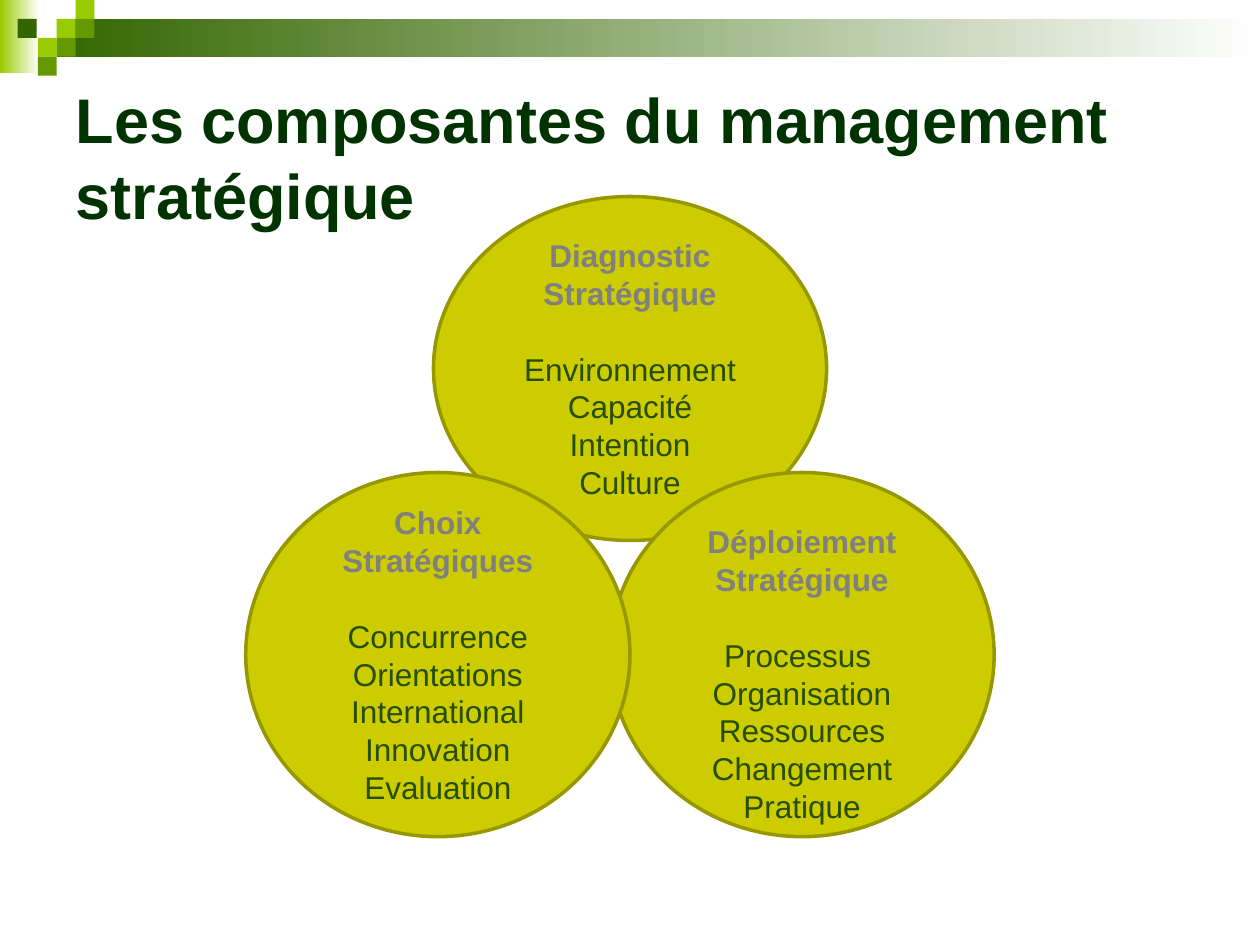
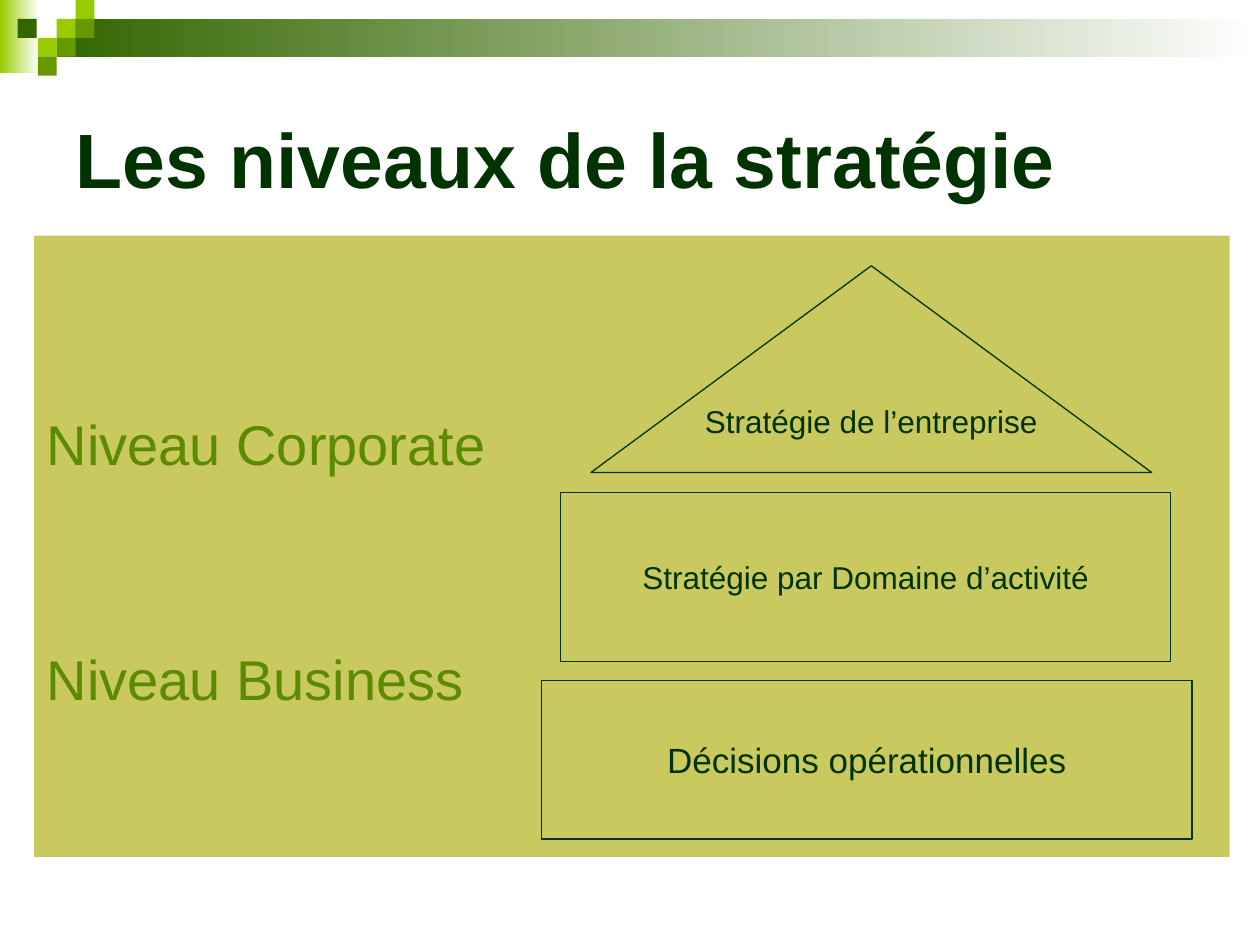
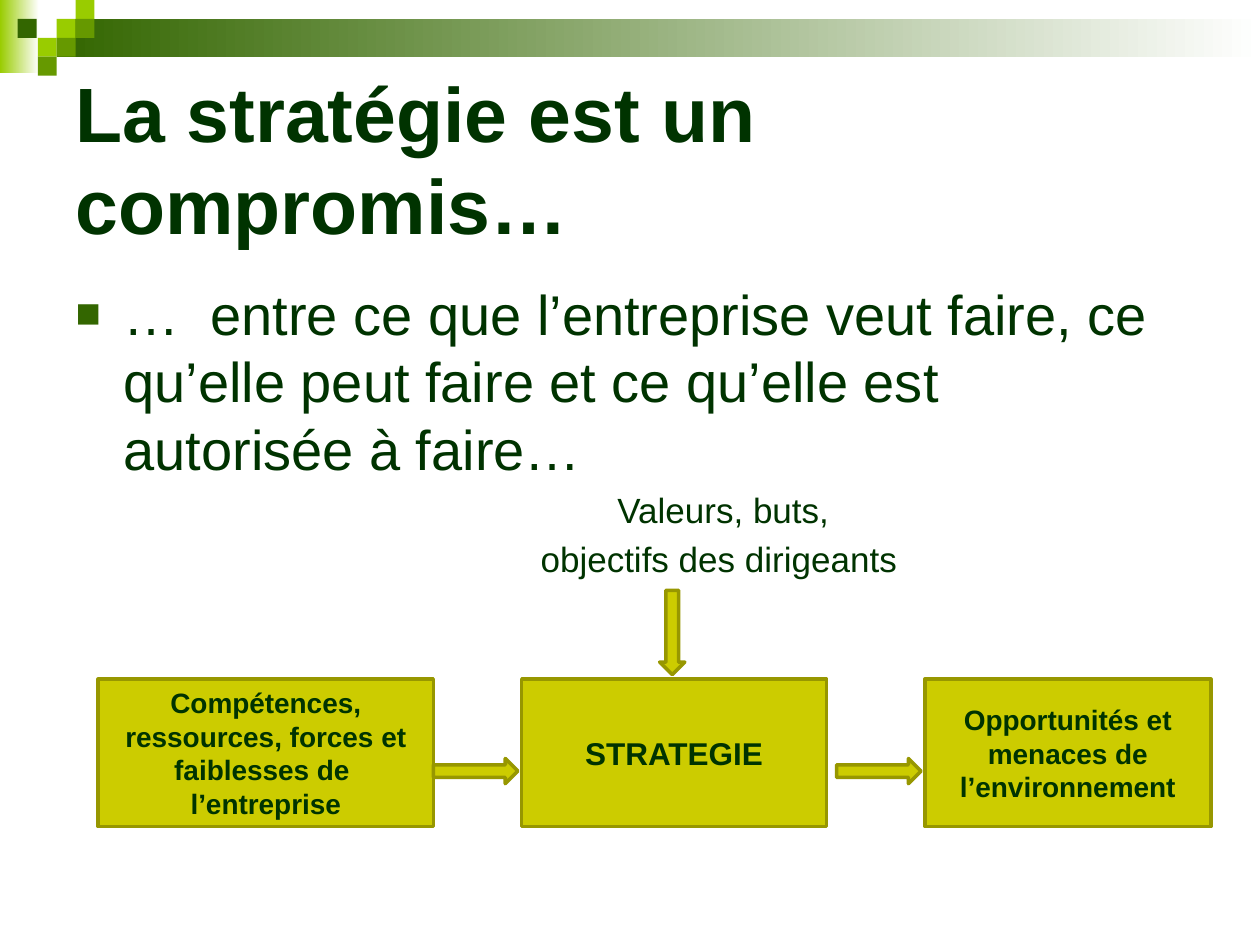
from dataclasses import dataclass
from typing import NamedTuple

from pptx import Presentation
from pptx import util as u
from pptx.dml.color import RGBColor
from pptx.enum import shapes as kinds, text as t
from pptx.oxml import ns
from pptx.oxml.xmlchemy import OxmlElement

Kind = kinds.MSO_SHAPE


@dataclass(frozen=True)
class Theme:
    font: str = "Arial"
    ink: str = "003300"
    dark: str = "336600"
    mid: str = "669900"
    lime: str = "99CC00"
    white: str = "FFFFFF"
    olive: str = "CCCC00"
    olive_edge: str = "979700"
    panel: str = "C9C960"
    level: str = "5C8A00"
    heading: str = "808080"
    item: str = "264D00"
    title_size: float = 44
    long_title_size: float = 36
    body_size: float = 32
    label_size: float = 20
    text_size: float = 18
    small_size: float = 16
    thick: float = 2
    thin: float = 0.75


THEME = Theme()


class Box(NamedTuple):
    left: float
    top: float
    width: float
    height: float

    def lengths(self) -> list:
        return [u.Inches(value) for value in self]


class Circle(NamedTuple):
    box: Box
    heading: str
    items: list
    drop: float = 0


class Block(NamedTuple):
    kind: Kind
    box: Box
    label: str
    size: float


class Arrow(NamedTuple):
    box: Box
    rotation: float = 0


TITLE_BOX = Box(0.5, 0.5, 9, 1.5)
TILE = 0.15
TILES = [
    (0.45, 0.15, THEME.lime), (0.6, 0, THEME.lime), (0.6, 0.15, THEME.mid),
    (0.3, 0.3, THEME.lime), (0.14, 0.15, THEME.dark), (0.45, 0.3, THEME.mid),
    (0.3, 0.45, THEME.mid),
]
FADES = [(Box(0, 0, 0.31, 0.58), THEME.lime), (Box(0.45, 0.15, 9.55, 0.3), THEME.dark)]

CIRCLES = [
    Circle(Box(3.44, 1.56, 3.12, 2.73), "Diagnostic Stratégique",
           ["Environnement Capacité", "Intention", "Culture"]),
    Circle(Box(4.84, 3.75, 3.05, 2.89), "Déploiement Stratégique",
           ["Processus ", "Organisation", "Ressources", "Changement", "Pratique"], 0.3),
    Circle(Box(1.95, 3.75, 3.05, 2.89), "Choix Stratégiques",
           ["Concurrence", "Orientations", "International", "Innovation", "Evaluation"]),
]
HEADING_GAP = 21.6

LEVELS = ["Niveau Corporate", "Niveau Business"]
LEVEL_GAP = 95.8
STOREYS = [
    Block(Kind.FLOWCHART_EXTRACT, Box(4.69, 2.11, 4.45, 1.64),
          "Stratégie de l’entreprise", THEME.text_size),
    Block(Kind.RECTANGLE, Box(4.45, 3.91, 4.84, 1.34),
          "Stratégie par Domaine d’activité", THEME.text_size),
    Block(Kind.FLOWCHART_PROCESS, Box(4.3, 5.4, 5.16, 1.26),
          "Décisions opérationnelles", THEME.label_size),
]

COMPROMISE = ("…  entre ce que l’entreprise veut faire, ce qu’elle peut faire "
              "et ce qu’elle est autorisée à faire…")
LEADER_GOALS = [("Valeurs, buts,", 4.3), ("objectifs des dirigeants", 3.69)]
FACTORS = [
    Block(Kind.RECTANGLE, Box(0.78, 5.39, 2.66, 1.17),
          "Compétences, ressources, forces et faiblesses de  l’entreprise", THEME.small_size),
    Block(Kind.RECTANGLE, Box(4.14, 5.39, 2.42, 1.17), "STRATEGIE", THEME.text_size),
    Block(Kind.RECTANGLE, Box(7.34, 5.39, 2.27, 1.17),
          "Opportunités et menaces de l’environnement", THEME.small_size),
]
ARROWS = [Arrow(Box(3.44, 6.02, 0.67, 0.2)), Arrow(Box(6.64, 6.02, 0.67, 0.2)),
          Arrow(Box(5, 4.92, 0.67, 0.2), 90)]


def rgb(colour: str) -> RGBColor:
    return RGBColor.from_string(colour)


def add_run(paragraph, wording: str, size: float, colour: str = THEME.ink,
            bold: bool = False) -> None:
    run = paragraph.add_run()
    run.text = wording
    run.font.name = THEME.font
    run.font.size = u.Pt(size)
    run.font.bold = bold
    run.font.color.rgb = rgb(colour)


def next_paragraph(frame, index: int):
    """Reuse the frame's first paragraph, then add further ones."""
    return frame.add_paragraph() if index else frame.paragraphs[0]


def add_figure(shapes, kind: Kind, box: Box, fill: str | None = None,
               edge: str | None = None, weight: float = THEME.thick):
    figure = shapes.add_shape(kind, *box.lengths())
    figure.shadow.inherit = False
    if fill:
        figure.fill.solid()
        figure.fill.fore_color.rgb = rgb(fill)
    else:
        figure.fill.background()
    if edge:
        figure.line.color.rgb = rgb(edge)
        figure.line.width = u.Pt(weight)
    else:
        figure.line.fill.background()
    return figure


def add_block(slide, block: Block, fill: str | None, edge: str, weight: float,
              bold: bool) -> None:
    figure = add_figure(slide.shapes, block.kind, block.box, fill, edge, weight)
    frame = figure.text_frame
    frame.word_wrap = fill is not None
    frame.vertical_anchor = t.MSO_ANCHOR.MIDDLE
    frame.paragraphs[0].alignment = t.PP_ALIGN.CENTER
    add_run(frame.paragraphs[0], block.label, block.size, bold=bold)


def add_circle(slide, circle: Circle) -> None:
    figure = add_figure(slide.shapes, Kind.OVAL, circle.box, THEME.olive, THEME.olive_edge)
    frame = figure.text_frame
    frame.word_wrap = True
    frame.vertical_anchor = t.MSO_ANCHOR.MIDDLE
    frame.margin_top = u.Inches(0.05 + circle.drop)
    for index, wording in enumerate([circle.heading, *circle.items]):
        paragraph = next_paragraph(frame, index)
        paragraph.alignment = t.PP_ALIGN.CENTER
        if index == 1:
            paragraph.space_before = u.Pt(HEADING_GAP)
        colour = THEME.item if index else THEME.heading
        add_run(paragraph, wording, THEME.text_size, colour, bold=index == 0)


def place(placeholder, box: Box):
    """Move a placeholder and return its cleared text frame."""
    placeholder.left, placeholder.top, placeholder.width, placeholder.height = box.lengths()
    frame = placeholder.text_frame
    frame.auto_size = t.MSO_AUTO_SIZE.NONE
    frame.word_wrap = True
    return frame


def add_slide(prs, layout: int, title: str, size: float = THEME.title_size,
              box: Box = TITLE_BOX):
    slide = prs.slides.add_slide(prs.slide_layouts[layout])
    frame = place(slide.shapes.title, box)
    frame.vertical_anchor = t.MSO_ANCHOR.MIDDLE
    frame.paragraphs[0].alignment = t.PP_ALIGN.LEFT
    add_run(frame.paragraphs[0], title, size, bold=True)
    return slide


def format_bullet(paragraph, indent: float, hanging: float = 0, char: str = "") -> None:
    properties = paragraph._p.get_or_add_pPr()
    properties.set("marL", str(u.Inches(indent)))
    properties.set("indent", str(-u.Inches(hanging)))
    if not char:
        properties.append(OxmlElement("a:buNone"))
        return
    colour = OxmlElement("a:buClr")
    value = OxmlElement("a:srgbClr")
    value.set("val", THEME.dark)
    colour.append(value)
    size = OxmlElement("a:buSzPct")
    size.set("val", "75000")
    bullet = OxmlElement("a:buChar")
    bullet.set("char", char)
    for part in (colour, size, bullet):
        properties.append(part)


def decorate_master(prs, slide) -> None:
    """Draw the header band on a slide, then move it behind the master's placeholders."""
    header = slide.shapes.add_group_shape()
    for box, colour in FADES:
        fade = add_figure(header.shapes, Kind.RECTANGLE, box)
        fade.fill.gradient()
        fade.fill.gradient_angle = 0
        for stop, shade, position in zip(fade.fill.gradient_stops, (colour, THEME.white), (0, 1)):
            stop.color.rgb = rgb(shade)
            stop.position = position
    for left, top, colour in TILES:
        add_figure(header.shapes, Kind.RECTANGLE, Box(left, top, TILE, TILE), colour)
    for number, node in enumerate(header.element.iter(ns.qn("p:cNvPr")), 100):
        node.set("id", str(number))
    prs.slide_master.shapes.element.insert(2, header.element)


def build_components(prs):
    slide = add_slide(prs, 5, "Les composantes du management stratégique",
                      THEME.long_title_size, Box(0.5, 0.3, 9, 1.88))
    for circle in CIRCLES:
        add_circle(slide, circle)
    return slide


def build_levels(prs) -> None:
    slide = add_slide(prs, 1, "Les niveaux de la stratégie")
    panel = slide.placeholders[1]
    frame = place(panel, Box(0.27, 1.87, 9.49, 4.93))
    panel.fill.solid()
    panel.fill.fore_color.rgb = rgb(THEME.panel)
    frame.margin_top = u.Inches(1.38)
    for index, level in enumerate(LEVELS):
        paragraph = next_paragraph(frame, index)
        paragraph.space_before = u.Pt(LEVEL_GAP if index else 0)
        format_bullet(paragraph, 0)
        add_run(paragraph, level, THEME.body_size, THEME.level)
    for storey in STOREYS:
        add_block(slide, storey, None, THEME.ink, THEME.thin, bold=False)


def build_compromise(prs) -> None:
    slide = add_slide(prs, 1, "La stratégie est un compromis…")
    frame = place(slide.placeholders[1], Box(0.5, 2.17, 9, 4.79))
    format_bullet(frame.paragraphs[0], 0.38, 0.38, "■")
    add_run(frame.paragraphs[0], COMPROMISE, THEME.body_size)
    for goal, indent in LEADER_GOALS:
        paragraph = frame.add_paragraph()
        format_bullet(paragraph, indent)
        add_run(paragraph, goal, THEME.label_size)
    for factor in FACTORS:
        add_block(slide, factor, THEME.olive, THEME.olive_edge, THEME.thick, bold=True)
    for arrow in ARROWS:
        figure = add_figure(slide.shapes, Kind.RIGHT_ARROW, arrow.box,
                            THEME.olive, THEME.olive_edge)
        figure.rotation = arrow.rotation


def main() -> None:
    prs = Presentation()
    prs.slide_width, prs.slide_height = u.Inches(10), u.Inches(7.5)
    decorate_master(prs, build_components(prs))
    build_levels(prs)
    build_compromise(prs)
    prs.save("out.pptx")


if __name__ == "__main__":
    main()
